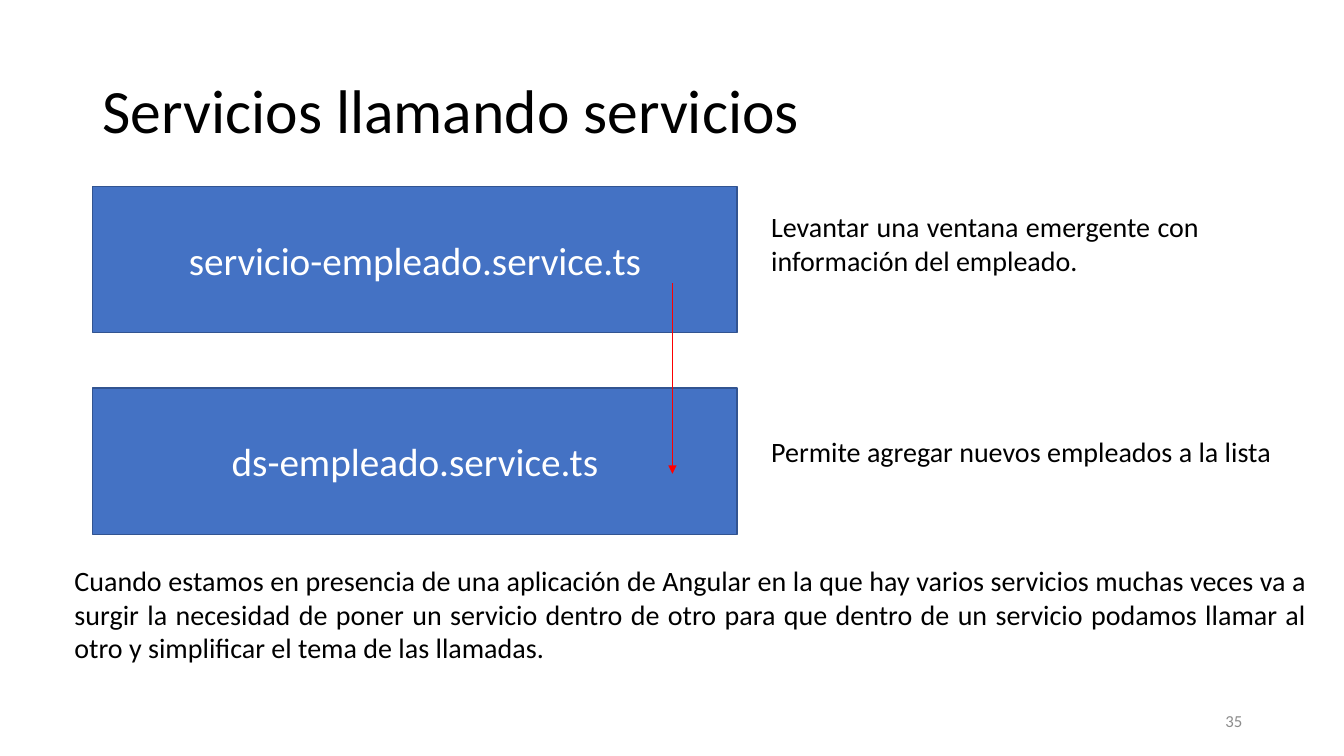
"""Build the slide about services that call other services."""
from dataclasses import dataclass

import pptx
import pptx.dml.color
import pptx.enum.shapes
import pptx.enum.text
import pptx.oxml
import pptx.oxml.ns
import pptx.shapes.base
import pptx.slide
import pptx.util
from pptx.util import Inches

ALIGN = pptx.enum.text.PP_ALIGN
ANCHOR = pptx.enum.text.MSO_ANCHOR
BOX_LEFT, BOX_WIDTH, BOX_HEIGHT = 0.92, 6.39, 1.45
NOTE_LEFT = 7.55


@dataclass
class Label:
    text: str
    left: float
    top: float
    width: float
    height: float
    size: int = 20
    color: str = "000000"
    align: ALIGN = ALIGN.LEFT
    anchor: ANCHOR = ANCHOR.TOP
    spacing: float = 1.0


@dataclass
class ServiceBox:
    text: str
    top: float


LABELS = [
    Label("Servicios llamando servicios", BOX_LEFT, 0.4, 11.5, 1.45, size=44,
          anchor=ANCHOR.MIDDLE, spacing=0.9),
    Label("Levantar una ventana emergente con información del empleado.",
          NOTE_LEFT, 2.03, 4.44, 0.77, align=ALIGN.JUSTIFY),
    Label("Permite agregar nuevos empleados a la lista",
          NOTE_LEFT, 4.26, 5.49, 0.44),
    Label("Cuando estamos en presencia de una aplicación de Angular en la que "
          "hay varios servicios muchas veces va a surgir la necesidad de poner "
          "un servicio dentro de otro para que dentro de un servicio podamos "
          "llamar al otro y simplificar el tema de las llamadas. ",
          0.64, 5.54, 12.42, 1.11, align=ALIGN.JUSTIFY),
    Label("35", 9.42, 6.95, 3, 0.4, size=12, color="8C8C8C",
          align=ALIGN.RIGHT, anchor=ANCHOR.MIDDLE),
]
BOXES = [
    ServiceBox("servicio-empleado.service.ts", 1.85),
    ServiceBox("ds-empleado.service.ts", 3.85),
]


def rgb(color: str) -> pptx.dml.color.RGBColor:
    return pptx.dml.color.RGBColor.from_string(color)


def write(sp: pptx.shapes.base.BaseShape, label: Label) -> None:
    tf = sp.text_frame
    tf.word_wrap = True
    tf.vertical_anchor = label.anchor
    p = tf.paragraphs[0]
    p.text = label.text
    p.alignment = label.align
    p.line_spacing = label.spacing
    p.font.name = "Calibri"
    p.font.size = pptx.util.Pt(label.size)
    p.font.color.rgb = rgb(label.color)


def add_label(s: pptx.slide.Slide, label: Label) -> None:
    sp = s.shapes.add_textbox(Inches(label.left), Inches(label.top),
                              Inches(label.width), Inches(label.height))
    write(sp, label)


def add_box(s: pptx.slide.Slide, box: ServiceBox) -> None:
    label = Label(box.text, BOX_LEFT, box.top, BOX_WIDTH, BOX_HEIGHT, size=28,
                  color="FFFFFF", align=ALIGN.CENTER, anchor=ANCHOR.MIDDLE)
    sp = s.shapes.add_shape(pptx.enum.shapes.MSO_SHAPE.RECTANGLE,
                            Inches(label.left), Inches(label.top),
                            Inches(label.width), Inches(label.height))
    sp.shadow.inherit = False
    sp.fill.solid()
    sp.fill.fore_color.rgb = rgb("4472C4")
    sp.line.color.rgb = rgb("325491")
    sp.line.width = pptx.util.Pt(1)
    write(sp, label)


def add_arrow(s: pptx.slide.Slide, x: float, top: float, bottom: float) -> None:
    arrow = s.shapes.add_connector(pptx.enum.shapes.MSO_CONNECTOR.STRAIGHT,
                                   Inches(x), Inches(top), Inches(x), Inches(bottom))
    arrow.line.color.rgb = rgb("FF0000")
    arrow.line.width = pptx.util.Pt(0.5)
    ln = arrow.line._get_or_add_ln()
    tail = pptx.oxml.parse_xml(
        f'<a:tailEnd {pptx.oxml.ns.nsdecls("a")} type="triangle"/>')
    ln.append(tail)
    effects = pptx.oxml.parse_xml(f'<a:effectLst {pptx.oxml.ns.nsdecls("a")}/>')
    ln.addnext(effects)


def main() -> None:
    prs = pptx.Presentation()
    prs.slide_width, prs.slide_height = Inches(13.33), Inches(7.5)
    s = prs.slides.add_slide(prs.slide_layouts[6])
    for box in BOXES:
        add_box(s, box)
    for label in LABELS:
        add_label(s, label)
    add_arrow(s, 6.67, 2.81, 4.7)
    prs.save("out.pptx")


if __name__ == "__main__":
    main()
